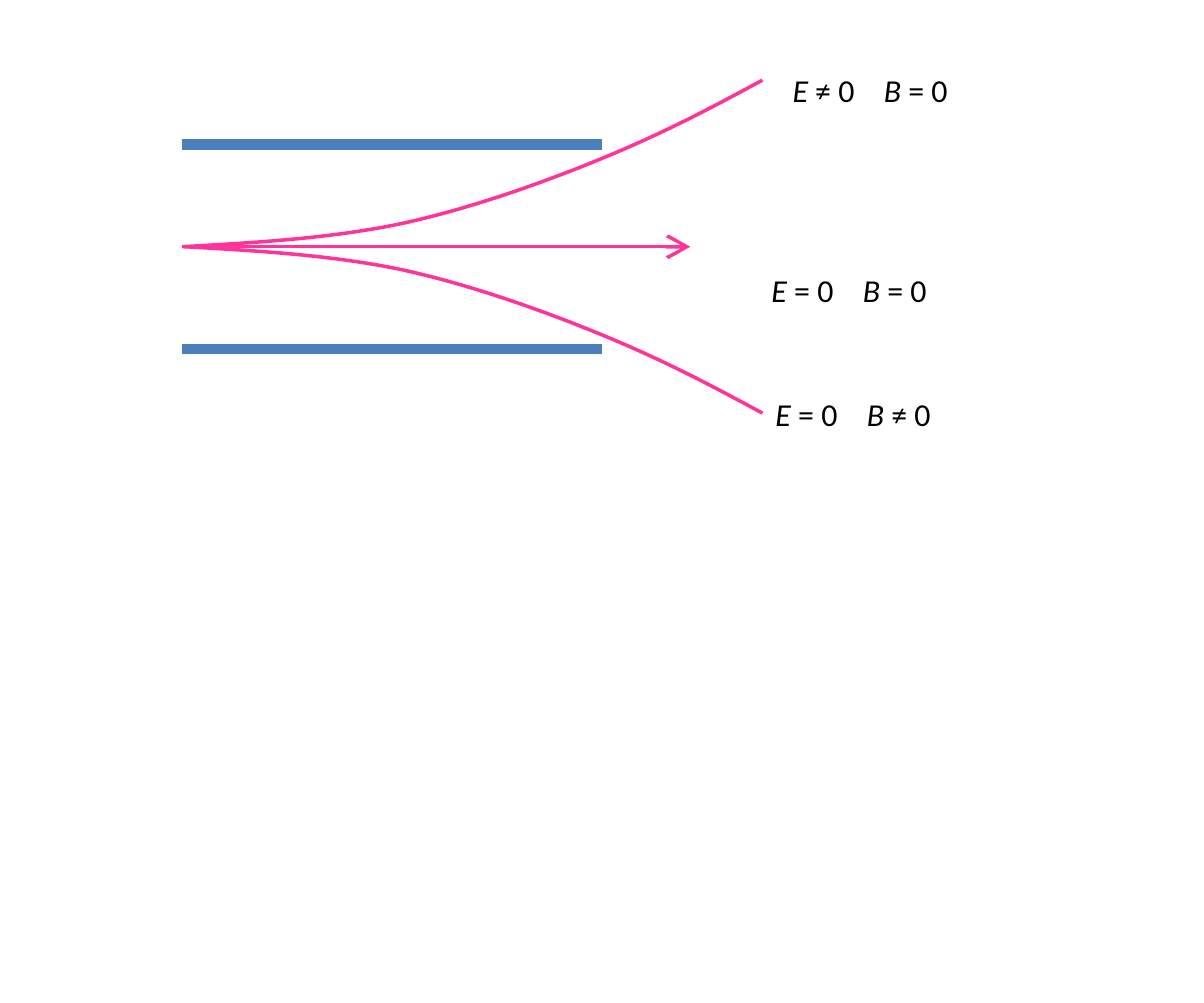
from dataclasses import dataclass

from pptx import Presentation
from pptx.dml.color import RGBColor as RGB
from pptx.enum.shapes import MSO_CONNECTOR as CONN
from pptx.oxml import parse_xml
from pptx.oxml.ns import nsdecls, qn
from pptx.util import Cm, Pt


@dataclass(frozen=True)
class Theme:
    plate: RGB = RGB(0x4B, 0x7E, 0xBC)
    beam: RGB = RGB(0xFF, 0x33, 0x99)
    text: RGB = RGB(0, 0, 0)
    font: str = "Calibri"
    text_size: Pt = Pt(9)
    plate_width: Pt = Pt(3)
    beam_width: Pt = Pt(1)


def element(tag, attrs=""):
    return parse_xml(f"<a:{tag} {nsdecls('a')} {attrs}/>")


class Diagram:
    def __init__(self, slide, theme):
        self.slide, self.theme = slide, theme

    def style_line(self, sp, color, width):
        sp.line.color.rgb = color
        sp.line.width = width

    def line(self, x1, x2, y, color, width, arrow=False):
        sp = self.slide.shapes.add_connector(CONN.STRAIGHT, Cm(x1), Cm(y), Cm(x2), Cm(y))
        self.style_line(sp, color, width)
        if arrow:
            sp.line._get_or_add_ln().append(element("tailEnd", 'type="arrow"'))
        sp._element.spPr.append(element("effectLst"))

    def curve(self, points, color, width):
        """Draw cubic Béziers: a start point, then two controls and an end for each."""
        start, *rest = [(Cm(x), Cm(y)) for x, y in points]
        builder = self.slide.shapes.build_freeform(*start)
        builder.add_line_segments(rest, close=False)
        sp = builder.convert_to_shape()
        sp.shadow.inherit = False
        sp.fill.background()
        self.style_line(sp, color, width)
        segments = list(sp._element.iter(qn("a:lnTo")))
        for i in range(0, len(segments), 3):
            bezier = element("cubicBezTo")
            segments[i].addprevious(bezier)
            for segment in segments[i:i + 3]:
                bezier.append(segment[0])
                segment.getparent().remove(segment)

    def field_label(self, x, y, electric, magnetic):
        """Write the E and B conditions side by side, aligned by a tab stop."""
        tf = self.slide.shapes.add_textbox(Cm(x), Cm(y), Cm(2.06), Cm(0.64)).text_frame
        tf.word_wrap = True
        p = tf.paragraphs[0]
        tabs = element("tabLst")
        tabs.append(element("tab", f'pos="{Cm(FIELD_GAP)}" algn="l"'))
        p._p.get_or_add_pPr().append(tabs)
        for text, italic in (("E", True), (f" {electric}\t", False),
                             ("B", True), (f" {magnetic}", False)):
            r = p.add_run()
            r.text = text
            style = {"name": self.theme.font, "size": self.theme.text_size, "italic": italic}
            for key, value in style.items():
                setattr(r.font, key, value)
            r.font.color.rgb = self.theme.text


AXIS_Y = 2.46
PLATE_OFFSET = 1.02
LEFT = 1.81
FIELD_GAP = 0.91
# Horizontal position and distance from the axis
DEFLECTION = [(1.83, 0),
              (2.54, 0.04), (3.26, 0.08), (3.96, 0.22),
              (4.67, 0.37), (5.45, 0.65), (6.05, 0.9),
              (6.65, 1.15), (7.12, 1.4), (7.6, 1.66)]
LABELS = [(7.65, 0.58, "≠ 0", "= 0"),
          (7.44, 2.57, "= 0", "= 0"),
          (7.48, 3.81, "= 0", "≠ 0")]


def main():
    prs = Presentation()
    prs.slide_width, prs.slide_height = Cm(12), Cm(10)
    theme = Theme()
    diagram = Diagram(prs.slides.add_slide(prs.slide_layouts[6]), theme)

    for side in (-1, 1):
        diagram.line(LEFT, 6, AXIS_Y + side * PLATE_OFFSET, theme.plate, theme.plate_width)
    diagram.line(LEFT, 6.88, AXIS_Y, theme.beam, theme.beam_width, arrow=True)
    for side in (-1, 1):
        beam_points = [(x, AXIS_Y + side * offset) for x, offset in DEFLECTION]
        diagram.curve(beam_points, theme.beam, theme.beam_width)
    for label in LABELS:
        diagram.field_label(*label)

    prs.save("out.pptx")


if __name__ == "__main__":
    main()
